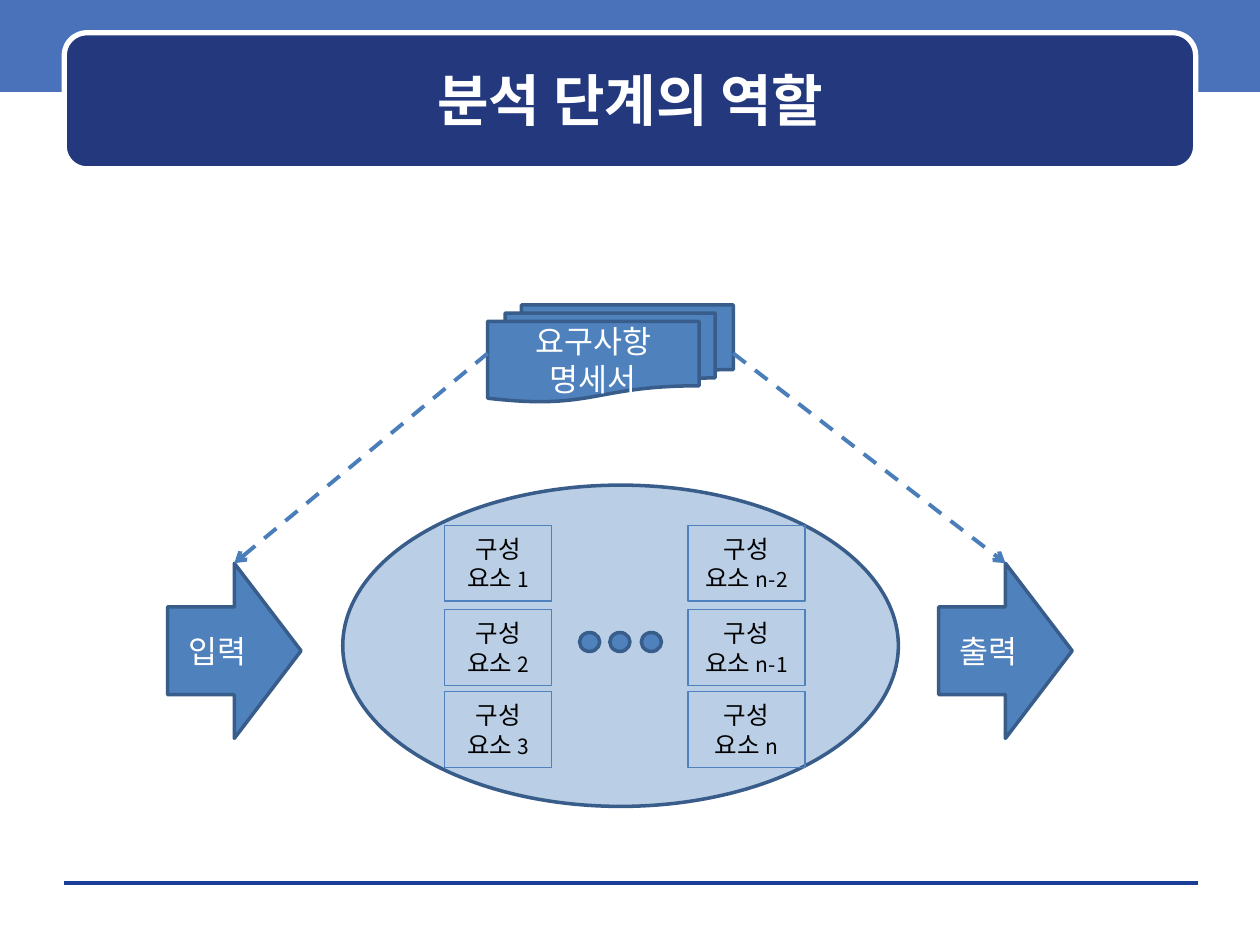
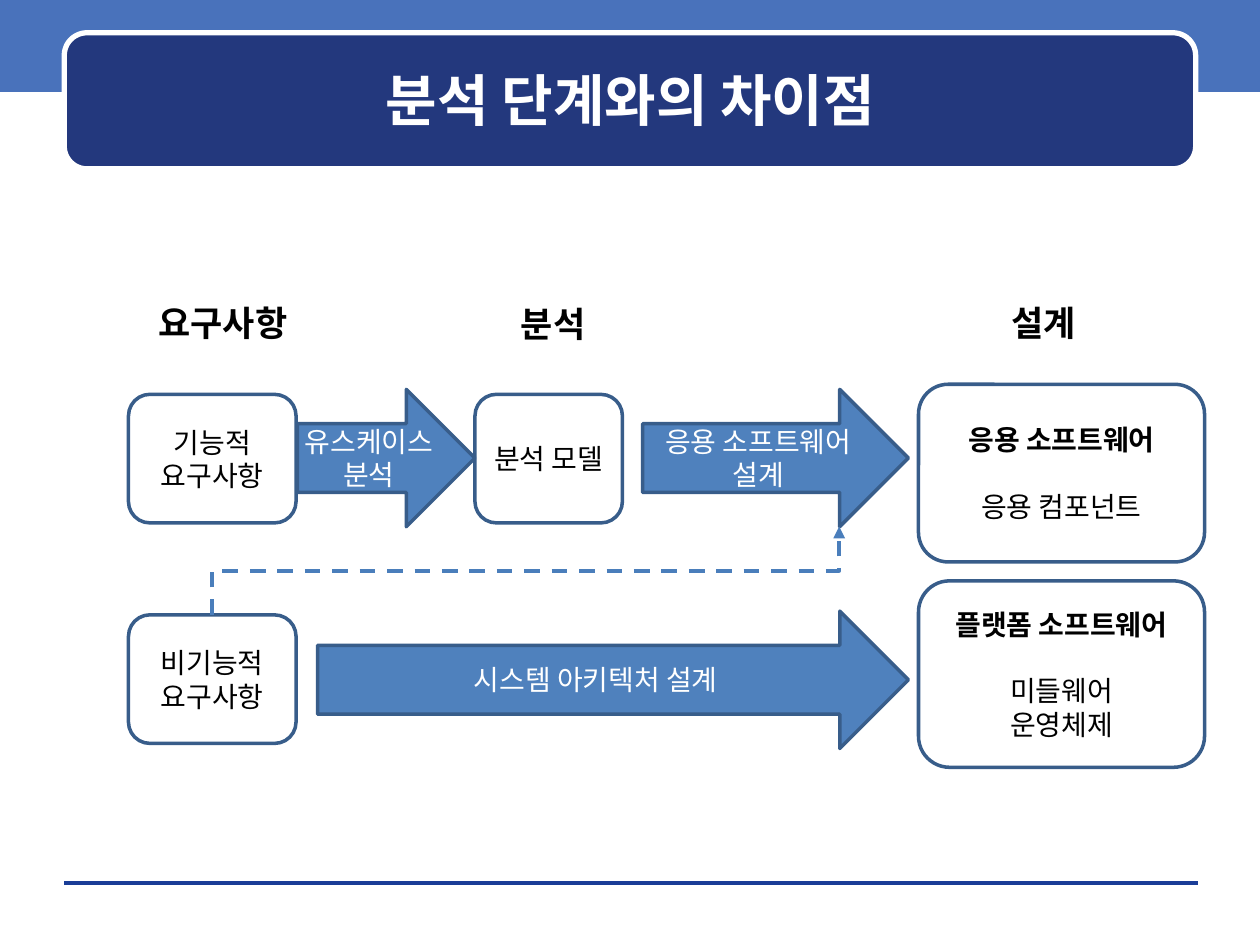
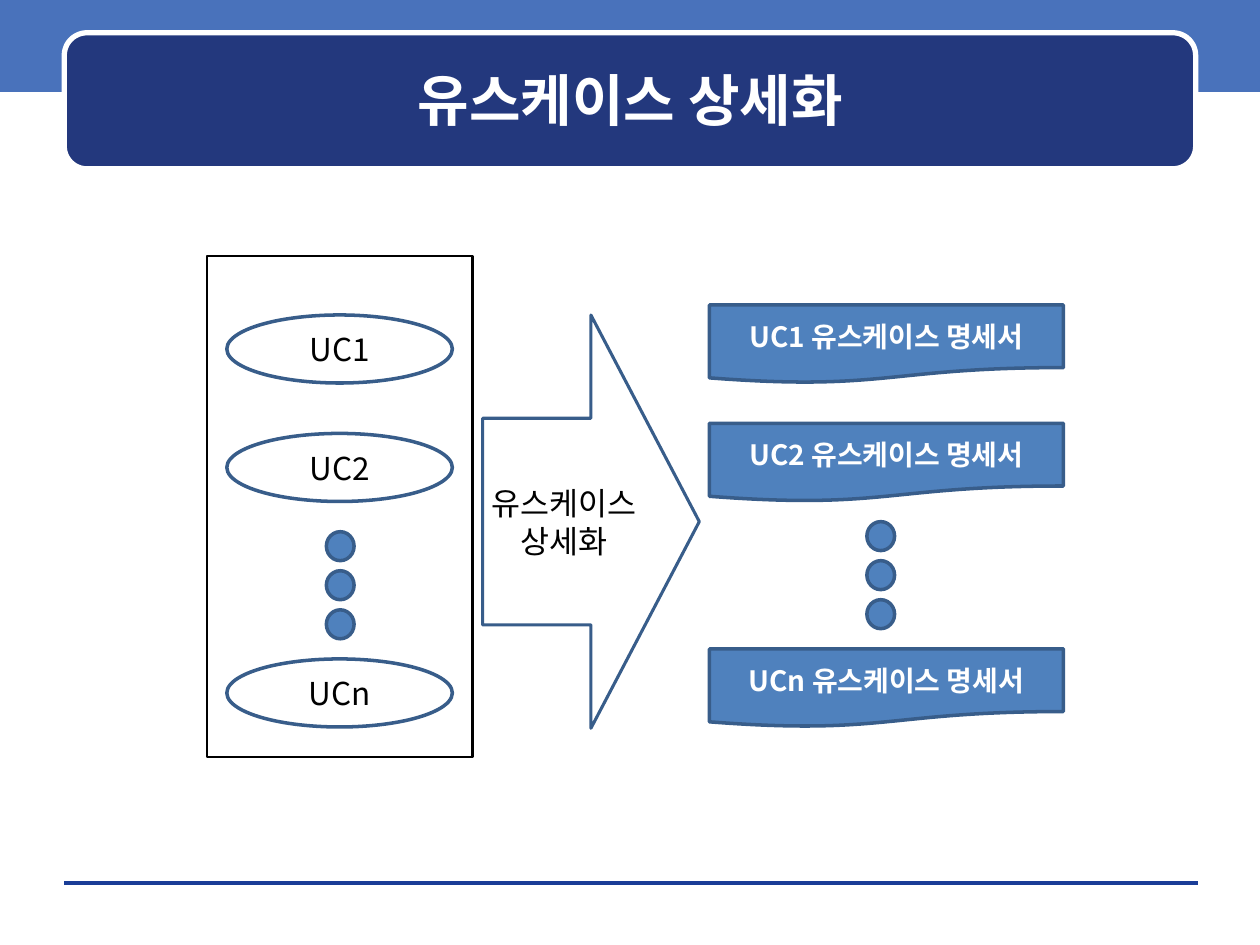
from dataclasses import dataclass
from typing import NamedTuple

from lxml.etree import SubElement
from pptx import Presentation
from pptx.dml.color import RGBColor
from pptx.enum.dml import MSO_LINE
from pptx.enum.shapes import MSO_CONNECTOR, MSO_SHAPE
from pptx.enum.text import MSO_ANCHOR, MSO_AUTO_SIZE, PP_ALIGN
from pptx.oxml.ns import qn
from pptx.util import Pt

EMU_PER_PX = 9144
FONT = "Noto Sans CJK KR"

WHITE = "FFFFFF"
BLACK = "000000"
BAND = "4972BB"
TITLE_PANEL = "23387D"
FOOTER_RULE = "1A3D97"
BLUE = "4F81BD"
OUTLINE = "385D8A"
LINK = "4A7EBB"

RECTANGLE = MSO_SHAPE.RECTANGLE
ROUNDED = MSO_SHAPE.ROUNDED_RECTANGLE
OVAL = MSO_SHAPE.OVAL
ARROW = MSO_SHAPE.RIGHT_ARROW
PROCESS = MSO_SHAPE.FLOWCHART_ALTERNATE_PROCESS
DOCUMENT = MSO_SHAPE.FLOWCHART_DOCUMENT
DOCUMENTS = MSO_SHAPE.FLOWCHART_MULTIDOCUMENT
STRAIGHT = MSO_CONNECTOR.STRAIGHT
ELBOW = MSO_CONNECTOR.ELBOW
DASH = MSO_LINE.DASH
CENTER = PP_ALIGN.CENTER
MIDDLE = MSO_ANCHOR.MIDDLE
NO_FIT = MSO_AUTO_SIZE.NONE
TOP, LEFT, RIGHT = 0, 1, 3


class Span(NamedTuple):
    text: str
    size: int
    bold: bool = False


@dataclass
class Line:
    spans: list[Span]
    gap: int = 0


@dataclass
class Block:
    kind: int
    left: int
    top: int
    width: int
    height: int
    lines: list[Line] | None = None
    fill: str | None = None
    outline: str = OUTLINE
    weight: float = 2
    color: str = BLACK
    inset: int = 10


def px(length: int) -> int:
    return length * EMU_PER_PX


def rgb(value: str) -> RGBColor:
    return RGBColor.from_string(value)


def lines_of(*texts: str, size: int, bold: bool = False) -> list[Line]:
    return [Line([Span(text, size, bold)]) for text in texts]


def add_span(para, text: str, *, size: int, color: str, bold: bool = False) -> None:
    span = para.add_run()
    span.text = text
    span.font.size = Pt(size)
    span.font.bold = bold
    span.font.color.rgb = rgb(color)
    span.font.name = FONT
    SubElement(span.font._element, qn("a:ea")).set("typeface", FONT)


def write_lines(box, lines: list[Line], *, color: str, inset: int = 10, wrap: bool = True) -> None:
    frame = box.text_frame
    frame.auto_size = NO_FIT
    frame.word_wrap = wrap
    frame.vertical_anchor = MIDDLE
    frame.margin_left = frame.margin_right = px(inset)
    frame.margin_top = frame.margin_bottom = px(5)
    for index, line in enumerate(lines):
        para = frame.add_paragraph() if index else frame.paragraphs[0]
        para.alignment = CENTER
        if line.gap:
            para.space_before = Pt(line.gap)
        for span in line.spans:
            add_span(para, span.text, size=span.size, color=color, bold=span.bold)


def add_block(page, block: Block):
    box = page.shapes.add_shape(
        block.kind, px(block.left), px(block.top), px(block.width), px(block.height)
    )
    box.shadow.inherit = False
    if block.fill:
        box.fill.solid()
        box.fill.fore_color.rgb = rgb(block.fill)
    else:
        box.fill.background()
    if block.weight:
        box.line.color.rgb = rgb(block.outline)
        box.line.width = Pt(block.weight)
    else:
        box.line.fill.background()
    if block.lines:
        write_lines(box, block.lines, color=block.color, inset=block.inset)
    return box


def add_link(page, kind: int, start: tuple[int, int], end: tuple[int, int],
             *, color: str = LINK, weight: float = 2.25, head: str | None = None):
    link = page.shapes.add_connector(kind, px(start[0]), px(start[1]), px(end[0]), px(end[1]))
    link.line.color.rgb = rgb(color)
    link.line.width = Pt(weight)
    if head:
        link.line.dash_style = DASH
        SubElement(link.line._get_or_add_ln(), qn("a:tailEnd")).set("type", head)
    SubElement(link.element.spPr, qn("a:effectLst"))
    return link


def add_dots(page, places: list[tuple[int, int]], width: int, height: int) -> None:
    for left, top in places:
        add_block(page, Block(OVAL, left, top, width, height, fill=BLUE))


def add_heading(page, text: str, left: int, top: int, width: int) -> None:
    box = page.shapes.add_textbox(px(left), px(top), px(width), px(44))
    write_lines(box, lines_of(text, size=20, bold=True), color=BLACK, wrap=False)


def dress_layout(page, layout) -> None:
    frame = [
        add_block(page, Block(RECTANGLE, 0, -3, 1000, 76, fill=BAND, weight=0)),
        add_link(page, STRAIGHT, (51, 701), (951, 701), color=FOOTER_RULE, weight=0),
        add_block(page, Block(ROUNDED, 51, 26, 898, 108, fill=TITLE_PANEL, outline=WHITE, weight=3)),
    ]
    for item in frame:
        layout.shapes.element.append(item.element)


def add_page(deck, layout, title: str):
    page = deck.slides.add_slide(layout)
    box = page.shapes.title
    box.left, box.top, box.width, box.height = px(60), px(35), px(881), px(88)
    write_lines(box, lines_of(title, size=32, bold=True), color=WHITE)
    return page


def draw_role(page) -> None:
    system = add_block(page, Block(OVAL, 272, 385, 441, 255, fill=BLUE))
    fill_color = system.fill._xPr.find(qn("a:solidFill"))[0]
    SubElement(fill_color, qn("a:alpha")).set("val", "39000")

    for left, width, names in ((353, 85, ("1", "2", "3")), (546, 93, ("n-2", "n-1", "n"))):
        for top, name in zip((417, 484, 549), names):
            lines = [Line([Span("구성", 14)]), Line([Span("요소 ", 14), Span(name, 12)])]
            add_block(page, Block(RECTANGLE, left, top, width, 60, lines, outline=BLUE, weight=0.75))

    arrows = [
        add_block(page, Block(ARROW, left, 447, 106, 139, lines_of(text, size=18),
                              fill=BLUE, color=WHITE))
        for left, text in ((133, "입력"), (745, "출력"))
    ]
    add_dots(page, [(left, 502) for left in (460, 484, 509)], 16, 15)
    specification = add_block(page, Block(
        DOCUMENTS, 387, 242, 195, 77, lines_of("요구사항", "명세서", size=18),
        fill=BLUE, color=WHITE))

    for side, arrow in zip((LEFT, RIGHT), arrows):
        link = add_link(page, STRAIGHT, (0, 0), (0, 0), head="arrow")
        link.begin_connect(specification, side)
        link.end_connect(arrow, TOP)


def draw_difference(page) -> None:
    for text, left, top, width in (
        ("요구사항", 116, 234, 122), ("분석", 408, 235, 62), ("설계", 793, 234, 71),
    ):
        add_heading(page, text, left, top, width)

    for left, top, width, texts, inset in (
        (102, 313, 133, ("기능적", "요구사항"), 10),
        (102, 488, 133, ("비기능적", "요구사항"), 10),
        (377, 313, 117, ("분석 모델",), 0),
    ):
        add_block(page, Block(PROCESS, left, top, width, 102, lines_of(*texts, size=16), inset=inset))

    for top, height, name, parts in (
        (305, 141, "응용 소프트웨어", ("응용 컴포넌트",)),
        (461, 148, "플랫폼 소프트웨어", ("미들웨어", "운영체제")),
    ):
        lines = lines_of(name, size=16, bold=True) + lines_of(*parts, size=16)
        lines[1].gap = 19
        add_block(page, Block(PROCESS, 729, top, 227, height, lines))

    for left, top, width, texts, inset in (
        (510, 309, 211, ("응용 소프트웨어", "설계"), 10),
        (236, 309, 141, ("유스케이스", "분석"), 0),
        (252, 485, 469, ("시스템 아키텍처 설계",), 10),
    ):
        add_block(page, Block(ARROW, left, top, width, 109, lines_of(*texts, size=16),
                              fill=BLUE, color=WHITE, inset=inset))

    link = add_link(page, ELBOW, (452, 702), (382, 204), head="triangle")
    link.element.spPr.find(qn("a:xfrm")).set("rot", "5400000")


def draw_detail(page) -> None:
    add_block(page, Block(RECTANGLE, 164, 203, 211, 398, outline=BLACK, weight=1.25))
    for top, name in ((250, "UC1"), (344, "UC2"), (523, "UCn")):
        add_block(page, Block(OVAL, 180, top, 179, 54, lines_of(name, size=18), inset=0))
        add_block(page, Block(
            DOCUMENT, 563, top - 8, 281, 62,
            lines_of(f"{name} 유스케이스 명세서", size=16, bold=True), fill=BLUE, color=WHITE))
    for left, top in ((259, 422), (688, 414)):
        add_dots(page, [(left, top + 31 * row) for row in range(3)], 22, 23)
    add_block(page, Block(ARROW, 383, 250, 172, 328, lines_of("유스케이스", "상세화", size=18),
                          weight=1.75, inset=0))


def main() -> None:
    deck = Presentation()
    deck.slide_width, deck.slide_height = px(1000), px(750)
    layout = deck.slide_layouts.get_by_name("Title Only")
    pages = (
        ("분석 단계의 역할", draw_role),
        ("분석 단계와의 차이점", draw_difference),
        ("유스케이스 상세화", draw_detail),
    )
    for index, (title, draw) in enumerate(pages):
        page = add_page(deck, layout, title)
        if index == 0:
            dress_layout(page, layout)
        draw(page)
    deck.save("out.pptx")


if __name__ == "__main__":
    main()
